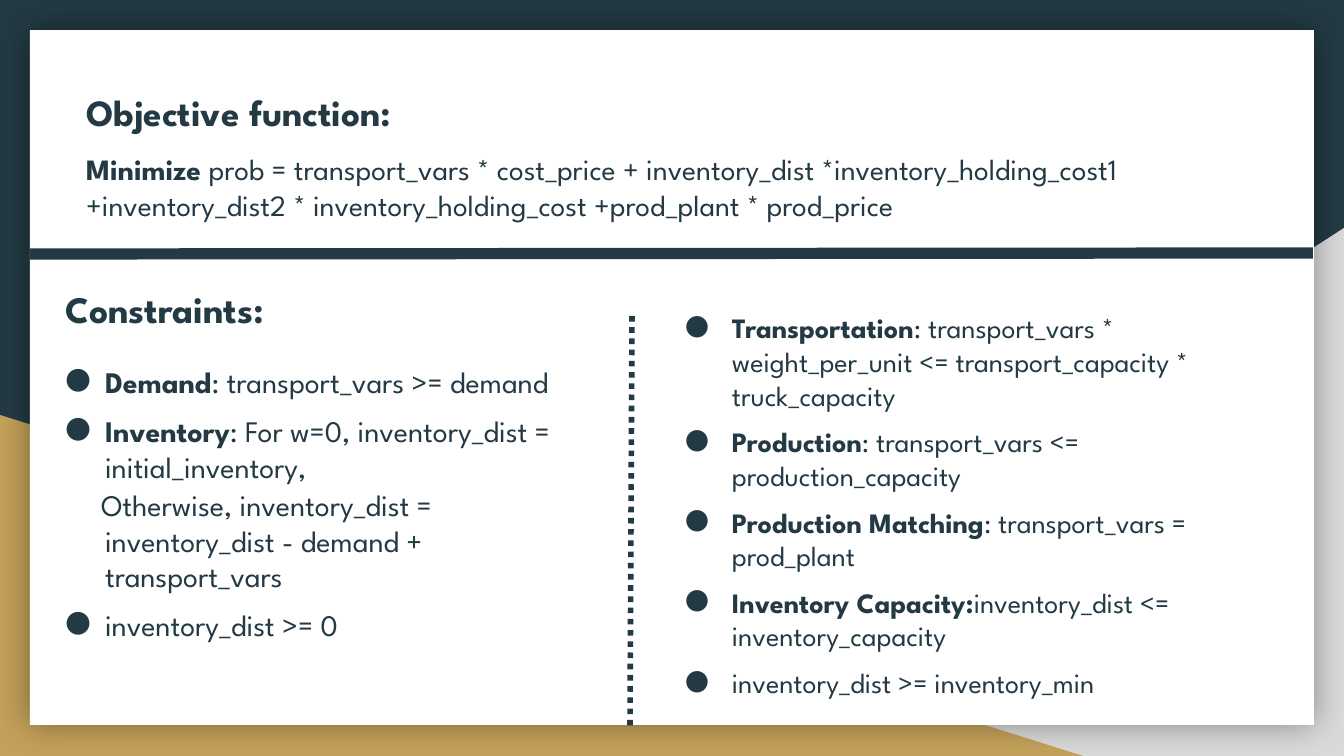
import pptx
import pptx.dml.color
import pptx.enum.dml
import pptx.enum.shapes
import pptx.enum.text
import pptx.oxml
import pptx.oxml.ns
import pptx.util

FONT = "League Spartan"
NAVY, GOLD, GREY, WHITE = "233A44", "C4A15A", "D9D9D9", "FFFFFF"
EMU_PER_PX = 914400 / 134.4
SLIDE_SIZE = (1344, 756)
PADDING = 13
BULLET = "●"

# Each paragraph: (bold text, regular text, size, space before, left margin, first indent, bullet)
TITLE = [
    ("Objective function:", "", 19.8, 0, 0, 0, False),
    ("Minimize", " prob = transport_vars * cost_price + inventory_dist *inventory_holding_cost1 "
     "+inventory_dist2 * inventory_holding_cost +prod_plant * prod_price", 15.8, 9, 0, 0, False),
]
HEADING = [("Constraints:", "", 20, 0, 0, 0, False)]
LEFT_CONSTRAINTS = [
    ("Demand", ": transport_vars >= demand", 16, 0, 40, -48, True),
    ("Inventory", ": For w=0, inventory_dist = initial_inventory,", 16, 7, 40, -48, True),
    ("", "Otherwise, inventory_dist = inventory_dist - demand + transport_vars", 16, 1, 40, -4, False),
    ("", "inventory_dist >= 0", 16, 7, 40, -48, True),
]
RIGHT_CONSTRAINTS = [
    (bold, regular, 15, 7 if index else 0, 67, -47, True)
    for index, (bold, regular) in enumerate([
        ("Transportation", ": transport_vars * weight_per_unit <= transport_capacity * truck_capacity"),
        ("Production", ": transport_vars <= production_capacity"),
        ("Production Matching", ": transport_vars = prod_plant"),
        ("Inventory Capacity:", "inventory_dist <= inventory_capacity"),
        ("", "inventory_dist >= inventory_min"),
    ])
]
TITLE_BOX = (73, 77, 1196, 157)
TEXT_BOXES = [
    ((52, 351, 555, 321), LEFT_CONSTRAINTS),
    ((652, 298, 587, 441), RIGHT_CONSTRAINTS),
    ((52, 273, 845, 102), HEADING),
]
TRIANGLE = pptx.enum.shapes.MSO_SHAPE.RIGHT_TRIANGLE
RECTANGLE = pptx.enum.shapes.MSO_SHAPE.RECTANGLE
BACKDROP = [
    (TRIANGLE, (527, 228, 817, 528), GREY, True),
    (TRIANGLE, (0, 415, 1083, 341), GOLD, False),
    (RECTANGLE, (30, 30, 1284, 695), WHITE, False),
]
DIVIDERS = [
    ((30, 254, 1313, 253), 6, None),
    ((632, 316, 630, 728), 3, pptx.enum.dml.MSO_LINE.ROUND_DOT),
]


def px(*values):
    return [pptx.util.Emu(round(value * EMU_PER_PX)) for value in values]


def color(hex_string):
    return pptx.dml.color.RGBColor.from_string(hex_string)


def add_xml(parent, xml):
    namespace = pptx.oxml.ns.nsdecls("a")
    parent.append(pptx.oxml.parse_xml(xml.replace("NS", namespace, 1)))


def write_text(shape, paragraphs):
    frame = shape.text_frame
    frame.word_wrap = True
    frame.auto_size = pptx.enum.text.MSO_AUTO_SIZE.NONE
    frame.vertical_anchor = pptx.enum.text.MSO_ANCHOR.TOP
    frame.margin_left, frame.margin_top, frame.margin_right, frame.margin_bottom = px(*[PADDING] * 4)
    for index, (bold, regular, size, before, margin, indent, bullet) in enumerate(paragraphs):
        paragraph = frame.add_paragraph() if index else frame.paragraphs[0]
        properties = paragraph._p.get_or_add_pPr()
        properties.set("marL", str(px(margin)[0]))
        properties.set("indent", str(px(indent)[0]))
        if bullet:
            add_xml(properties, f'<a:buClr NS><a:srgbClr val="{NAVY}"/></a:buClr>')
            add_xml(properties, f'<a:buFont NS typeface="{FONT}"/>')
            add_xml(properties, f'<a:buChar NS char="{BULLET}"/>')
        paragraph.alignment = pptx.enum.text.PP_ALIGN.LEFT
        paragraph.space_before = pptx.util.Pt(before)
        for text, is_bold in ((bold, True), (regular, False)):
            if text:
                run = paragraph.add_run()
                run.text = text
                run.font.name = FONT
                run.font.size = pptx.util.Pt(size)
                run.font.bold = is_bold
                run.font.color.rgb = color(NAVY)


def add_backdrop(slide):
    for kind, box, fill, flipped in BACKDROP:
        shape = slide.shapes.add_shape(kind, *px(*box))
        shape.fill.solid()
        shape.fill.fore_color.rgb = color(fill)
        shape.line.fill.background()
        if flipped:
            shape._element.spPr.xfrm.set("flipH", "1")
        if kind == RECTANGLE:
            add_xml(shape._element.spPr,
                    f'<a:effectLst NS><a:outerShdw blurRad="{pptx.util.Pt(18)}" dist="0" dir="0">'
                    '<a:srgbClr val="000000"><a:alpha val="40000"/></a:srgbClr>'
                    '</a:outerShdw></a:effectLst>')
        else:
            shape.shadow.inherit = False


def add_dividers(slide):
    for ends, width, dash in DIVIDERS:
        line = slide.shapes.add_connector(pptx.enum.shapes.MSO_CONNECTOR.STRAIGHT, *px(*ends))
        line.line.color.rgb = color(NAVY)
        line.line.width = pptx.util.Pt(width)
        if dash:
            line.line.dash_style = dash
        add_xml(line._element.spPr, "<a:effectLst NS/>")


def main():
    presentation = pptx.Presentation()
    presentation.slide_width, presentation.slide_height = px(*SLIDE_SIZE)
    slide = presentation.slides.add_slide(presentation.slide_layouts[5])
    slide.background.fill.solid()
    slide.background.fill.fore_color.rgb = color(NAVY)
    add_backdrop(slide)
    title = slide.shapes.title
    title.left, title.top, title.width, title.height = px(*TITLE_BOX)
    slide.shapes._spTree.append(title._element)
    write_text(title, TITLE)
    for box, paragraphs in TEXT_BOXES:
        write_text(slide.shapes.add_textbox(*px(*box)), paragraphs)
    add_dividers(slide)
    presentation.save("out.pptx")


if __name__ == "__main__":
    main()
